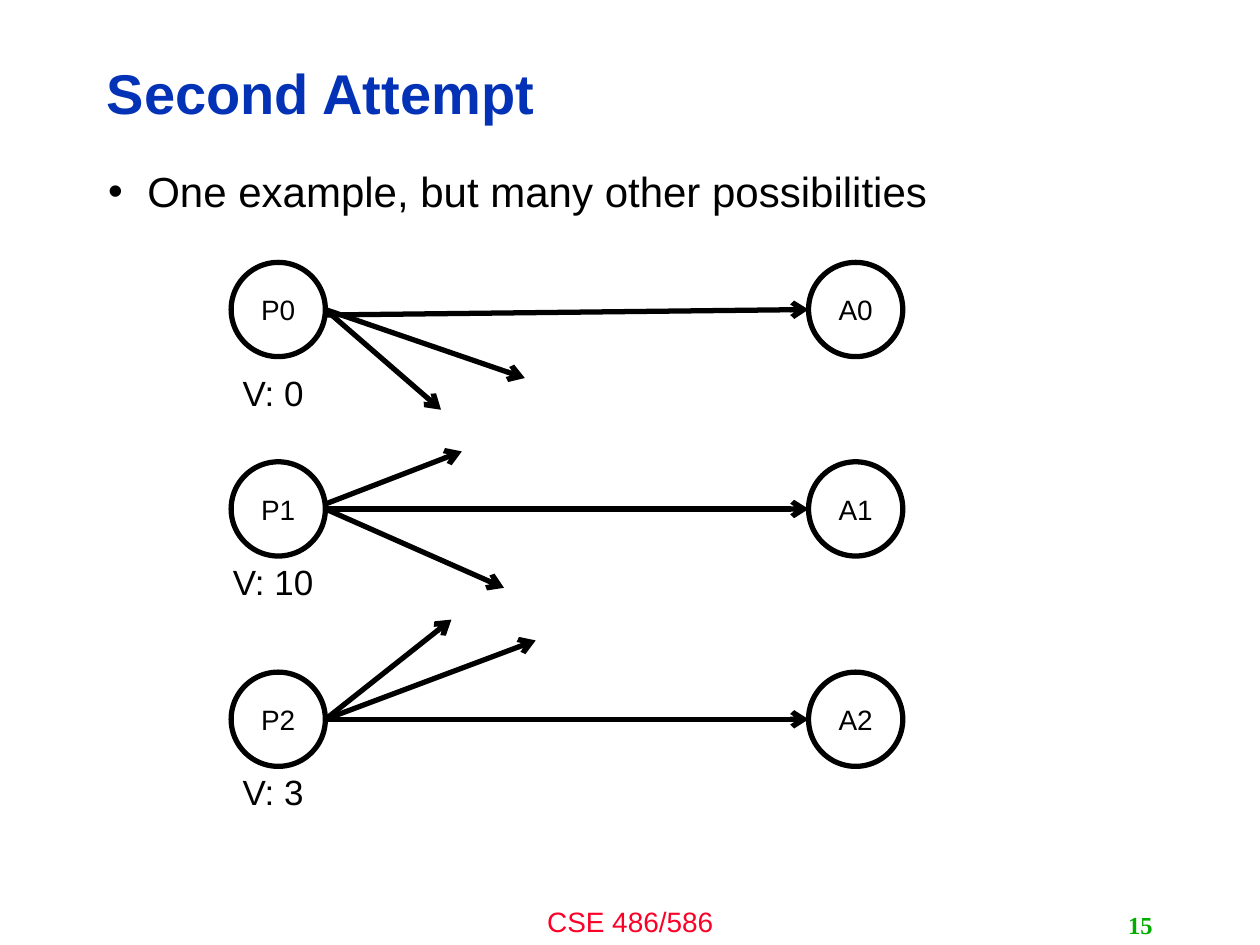
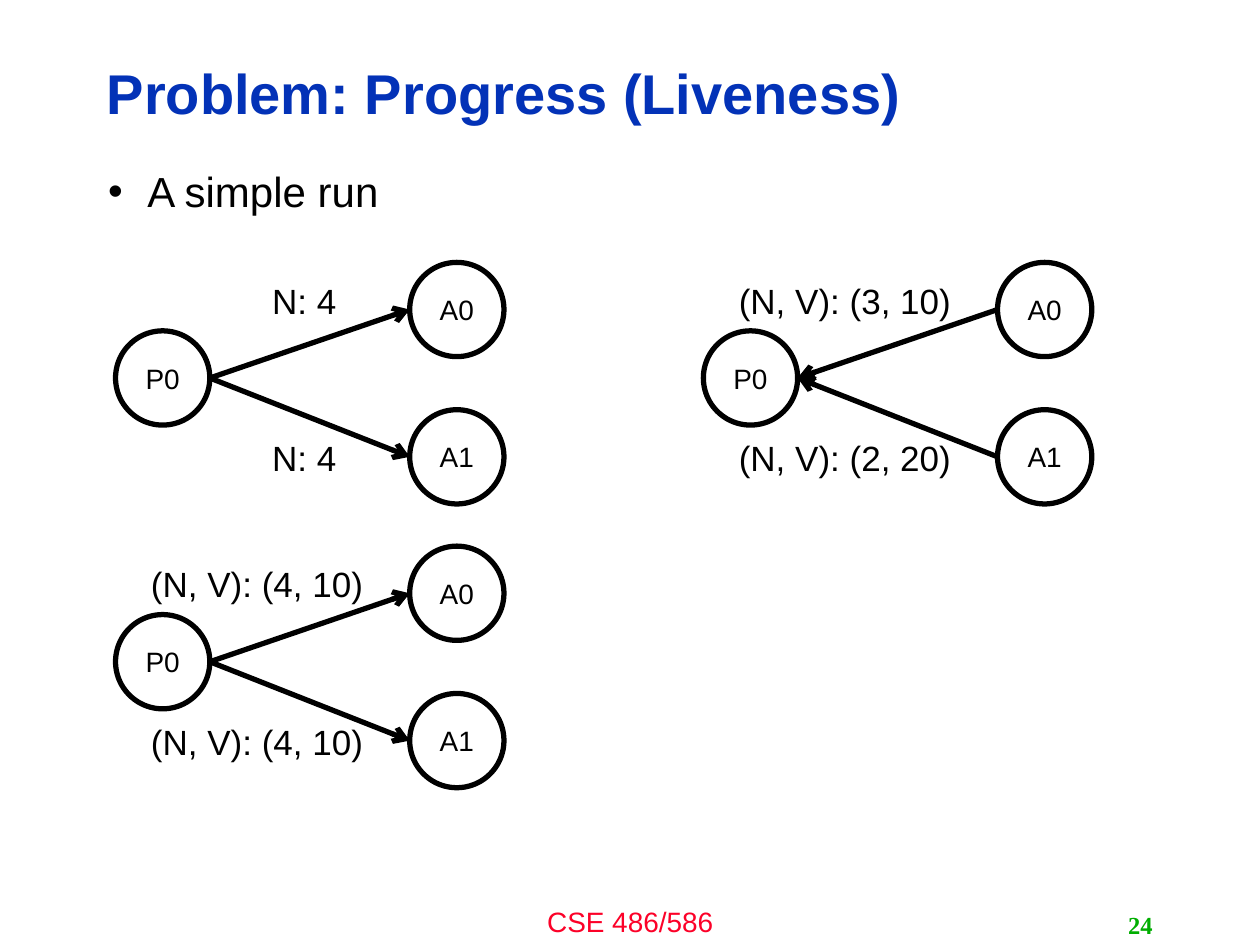
"""Build two slides on proposers and acceptors exchanging messages."""
from lxml import etree
from pptx import Presentation
from pptx import util as u
from pptx.dml.color import RGBColor
from pptx.enum import shapes, text
from pptx.oxml.ns import qn

BLACK = RGBColor(0x00, 0x00, 0x00)
WHITE = RGBColor(0xFF, 0xFF, 0xFF)
BLUE = RGBColor(0x03, 0x32, 0xB7)
RED = RGBColor(0xFC, 0x01, 0x28)
GREEN = RGBColor(0x00, 0xAE, 0x00)
SIZE = 1.9
HALF = SIZE / 2
LEFT, MID, RIGHT = text.PP_ALIGN.LEFT, text.PP_ALIGN.CENTER, text.PP_ALIGN.RIGHT
TOP, CENTER = text.MSO_ANCHOR.TOP, text.MSO_ANCHOR.MIDDLE


class Deck:
    STYLES = {
        "title": dict(name="Arial", size=u.Pt(32), bold=True, color=BLUE),
        "body": dict(name="Arial", size=u.Pt(24), color=BLACK),
        "label": dict(name="Arial", size=u.Pt(20), color=BLACK),
        "node": dict(name="Arial", size=u.Pt(16), color=BLACK),
        "foot": dict(name="Arial", size=u.Pt(16), color=RED),
        "page": dict(name="Times New Roman", size=u.Pt(14), bold=True, color=GREEN),
    }

    def __init__(self):
        self.prs = Presentation()
        self.prs.slide_width, self.prs.slide_height = u.Cm(25.4), u.Cm(19.05)
        self.slide = None

    def fill(self, shape, words, style, align=MID, anchor=TOP):
        frame = shape.text_frame
        frame.word_wrap = True
        frame.auto_size = text.MSO_AUTO_SIZE.NONE
        frame.vertical_anchor = anchor
        para = frame.paragraphs[0]
        para.text = words
        para.alignment = align
        for key, value in self.STYLES[style].items():
            if key == "color":
                para.font.color.rgb = value
            else:
                setattr(para.font, key, value)
        return para

    def label(self, words, box, style="label", align=MID, anchor=TOP):
        shape = self.slide.shapes.add_textbox(*map(u.Cm, box))
        return self.fill(shape, words, style, align, anchor)

    def bullet(self, words, box):
        para = self.label(words, box, "body", LEFT)
        props = para._p.get_or_add_pPr()
        props.set("marL", str(u.Cm(0.79)))
        props.set("indent", str(u.Cm(-0.79)))
        for child in props.findall(qn("a:defRPr")):
            props.remove(child)
        etree.SubElement(props, qn("a:buFont"), typeface="Arial")
        etree.SubElement(props, qn("a:buChar"), char="•")
        para.line_spacing = 0.9
        for key, value in self.STYLES["body"].items():
            if key == "color":
                para.font.color.rgb = value
            else:
                setattr(para.font, key, value)

    def page(self, title, point, number):
        self.slide = self.prs.slides.add_slide(self.prs.slide_layouts[5])
        head = self.slide.shapes.title
        spots = dict(left=1.9, top=0.91, width=20.27, height=2.06)
        for key, value in spots.items():
            setattr(head, key, u.Cm(value))
        self.fill(head, title, "title", LEFT, CENTER).line_spacing = 0.9
        self.bullet(point, (1.93, 3.33, 21.34, 13.69))
        self.label("CSE 486/586", (8.47, 18.1, 8.47, 0.94), "foot")
        self.label(str(number), (18.21, 18.24, 5.28, 0.81), "page", RIGHT, CENTER)

    def node(self, words, x, y):
        oval = self.slide.shapes.add_shape(
            shapes.MSO_SHAPE.OVAL, *map(u.Cm, (x, y, SIZE, SIZE)))
        oval.shadow.inherit = False
        oval.fill.solid()
        oval.fill.fore_color.rgb = WHITE
        oval.line.color.rgb = BLACK
        oval.line.width = u.Pt(3)
        self.fill(oval, words, "node", anchor=CENTER)

    def arrow(self, start, end):
        link = self.slide.shapes.add_connector(
            shapes.MSO_CONNECTOR.STRAIGHT, *map(u.Cm, (*start, *end)))
        link.line.color.rgb = BLACK
        link.line.width = u.Pt(3)
        props = link.element.spPr
        etree.SubElement(props.find(qn("a:ln")), qn("a:tailEnd"), type="arrow")
        etree.SubElement(props, qn("a:effectLst"))

    def burst(self, x, y, notes, width, reply=False):
        self.node("P0", x, y + 1.38)
        hub = (x + SIZE, y + 1.38 + HALF)
        for i, note in enumerate(notes):
            far, top = x + 5.93, y + 2.97 * i
            self.node(f"A{i}", far, top)
            ends = [hub, (far, top + HALF)]
            self.arrow(*(reversed(ends) if reply else ends))
            self.label(note, (x + 5.29 - width, y + 0.21 + 3.18 * i, width, 1.12))


def attempt(deck):
    deck.page("Second Attempt", "One example, but many other possibilities", 15)
    near, far = 4.66, 16.3
    edge = near + SIZE
    rows = [
        (5.29, "V: 0", 7.37, [(6.35, far, 6.24), (6.24, 10.58, 7.62), (6.24, 8.89, 8.26)]),
        (9.31, "V: 10", 11.18, [(10.26, far, 10.26), (10.16, 9.31, 9.1), (10.26, 10.16, 11.85)]),
        (13.55, "V: 3", 15.4, [(14.5, far, 14.5), (14.5, 10.8, 12.91), (14.5, 9.1, 12.49)]),
    ]
    for i, (top, value, low, links) in enumerate(rows):
        deck.node(f"P{i}", near, top)
        deck.node(f"A{i}", far, top)
        deck.label(value, (4.02, low, 2.97, 1.12))
        for start, x, y in links:
            deck.arrow((edge, start), (x, y))


def progress(deck):
    deck.page("Problem: Progress (Liveness)", "A simple run", 24)
    deck.burst(2.33, 5.29, ["N: 4"] * 2, 2.97)
    deck.burst(14.18, 5.29, ["(N, V): (3, 10)", "(N, V): (2, 20)"], 4.87, reply=True)
    deck.burst(2.33, 11.01, ["(N, V): (4, 10)"] * 2, 4.87)


def main():
    deck = Deck()
    attempt(deck)
    progress(deck)
    deck.prs.save("out.pptx")


if __name__ == "__main__":
    main()
